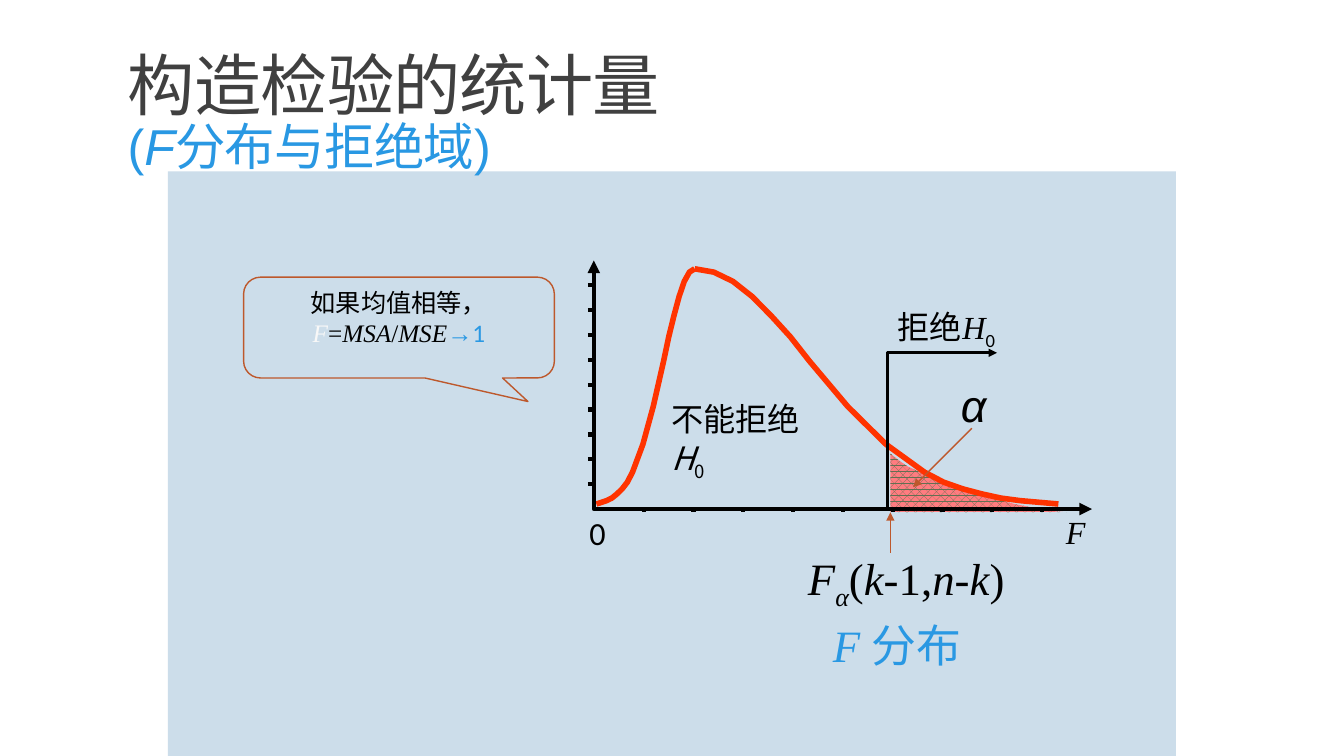
"""Draw the F distribution slide on a grid of 160 columns by 90 rows."""
from dataclasses import dataclass
from typing import NamedTuple

from lxml.etree import SubElement
from pptx import Presentation
from pptx.dml.color import RGBColor as RGB
from pptx.enum.dml import MSO_PATTERN as Pattern
from pptx.enum.shapes import MSO_CONNECTOR as Connector, MSO_SHAPE as Shape
from pptx.enum.text import MSO_ANCHOR as Anchor, MSO_AUTO_SIZE as AutoSize, PP_ALIGN as Align
from pptx.oxml.ns import qn
from pptx.util import Emu, Inches, Pt


@dataclass(frozen=True)
class Theme:
    ink: RGB = RGB.from_string("000000")
    heading: RGB = RGB.from_string("404040")
    accent: RGB = RGB.from_string("2998E3")
    pale: RGB = RGB.from_string("F8F8F8")
    panel: RGB = RGB.from_string("CCDDEA")
    pointer: RGB = RGB.from_string("BD582C")
    curve: RGB = RGB.from_string("FF3300")
    hatch: RGB = RGB.from_string("637052")
    tail: RGB = RGB.from_string("FF7C80")
    sans: str = "Arial"
    body: str = "Calibri"
    serif: str = "Times New Roman"
    cjk: str = "Noto Sans CJK SC"
    title: float = 48
    subtitle: float = 36
    large: float = 32
    label: float = 23
    note: float = 18


T = Theme()
UNIT = Inches(13.333) / 160


class Point(NamedTuple):
    col: float
    row: float


class Box(NamedTuple):
    col: float
    row: float
    cols: float
    rows: float


@dataclass(frozen=True)
class Run:
    text: str
    font: str = T.serif
    size: float = T.label
    color: RGB = T.ink
    italic: bool = False
    sub: bool = False


@dataclass(frozen=True)
class Label:
    box: Box
    runs: tuple[Run, ...]
    align: Align = Align.LEFT


def emu(units: float) -> Emu:
    return Emu(round(units * UNIT))


def place(box: Box) -> list[Emu]:
    return [emu(v) for v in box]


def write(p, runs: tuple[Run, ...], align: Align) -> None:
    p.alignment = align
    for run in runs:
        r = p.add_run()
        r.text = run.text
        r.font.name, r.font.size = run.font, Pt(run.size)
        r.font.italic, r.font.color.rgb = run.italic, run.color
        rPr = r._r.get_or_add_rPr()
        SubElement(rPr, qn("a:ea")).set("typeface", T.cjk)
        if run.sub:
            rPr.set("baseline", "-25000")


def stroke(sp, color: RGB, width: float, ends: tuple[str, ...] = ()) -> None:
    sp.line.color.rgb, sp.line.width = color, Pt(width)
    for end in ends:
        SubElement(sp.line._get_or_add_ln(), qn(f"a:{end}")).set("type", "triangle")


def add_line(slide, start: Point, stop: Point, color: RGB, width: float, ends: tuple[str, ...] = ()) -> None:
    sp = slide.shapes.add_connector(Connector.STRAIGHT, *(emu(v) for v in (*start, *stop)))
    stroke(sp, color, width, ends)
    SubElement(sp.element.spPr, qn("a:effectLst"))


def add_outline(slide, points: list[Point], close: bool = False):
    start, *rest = [(emu(x), emu(y)) for x, y in points]
    builder = slide.shapes.build_freeform(*start)
    builder.add_line_segments(rest, close=close)
    sp = builder.convert_to_shape()
    sp.shadow.inherit = False
    sp.fill.background()
    return sp


def add_label(slide, label: Label) -> None:
    tf = slide.shapes.add_textbox(*place(label.box)).text_frame
    tf.word_wrap = True
    write(tf.paragraphs[0], label.runs, label.align)


def add_title(slide) -> None:
    sp = slide.shapes.title
    sp.left, sp.top, sp.width, sp.height = place(Box(14, 2.4, 132, 19.1))
    tf = sp.text_frame
    tf.auto_size, tf.vertical_anchor = AutoSize.NONE, Anchor.BOTTOM
    p = tf.paragraphs[0]
    p.line_spacing = 0.85
    write(p, (Run("构造检验的统计量", T.sans, T.title, T.heading),), Align.LEFT)
    p.add_line_break()
    write(p, (Run("(", T.sans, T.subtitle, T.accent),
              Run("F", T.sans, T.subtitle, T.accent, True),
              Run("分布与拒绝域)", T.sans, T.subtitle, T.accent)), Align.LEFT)
    for r in p.runs:
        r._r.get_or_add_rPr().set("spc", "-50")


def add_panel(slide) -> None:
    sp = slide.shapes.add_shape(Shape.RECTANGLE, *place(Box(20, 20.4, 120, 69.6)))
    sp.shadow.inherit = False
    sp.fill.solid()
    sp.fill.fore_color.rgb = T.panel
    sp.line.fill.background()
    slide.shapes.title.element.addprevious(sp.element)


def add_callout(slide) -> None:
    sp = slide.shapes.add_shape(Shape.ROUNDED_RECTANGULAR_CALLOUT, *place(Box(29, 33, 37, 12)))
    sp.shadow.inherit = False
    sp.fill.background()
    stroke(sp, T.pointer, 1)
    for i, share in enumerate((0.415, 0.734, 0.167)):
        sp.adjustments[i] = share
    tf = sp.text_frame
    tf.word_wrap, tf.vertical_anchor = True, Anchor.TOP
    write(tf.paragraphs[0], (
        Run("如果均值相等，", size=T.note), Run("F", size=T.note, color=T.pale, italic=True),
        Run("=", size=T.note), Run("MSA", size=T.note, italic=True),
        Run("/", size=T.note), Run("MSE", size=T.note, italic=True),
        Run("→", size=T.note, color=T.accent), Run("1", T.body, T.note, T.accent)), Align.CENTER)


LABELS = (
    Label(Box(113.2, 44.4, 8, 7.7), (Run("α", T.sans, T.large, italic=True),)),
    Label(Box(93.3, 73, 27, 7.7), (Run("F ", size=T.large, color=T.accent, italic=True),
                                   Run("分布", T.body, T.large, T.accent)), Align.CENTER),
    Label(Box(95, 65, 32, 7.7), (
        Run("F", size=T.large, italic=True), Run("α", size=T.large, italic=True, sub=True),
        Run("(", size=T.large), Run("k", size=T.large, italic=True),
        Run("-1,", size=T.large), Run("n", size=T.large, italic=True),
        Run("-", size=T.large), Run("k", size=T.large, italic=True), Run(")", size=T.large))),
    Label(Box(69, 60.5, 4.6, 5.8), (Run("0", T.body),)),
    Label(Box(105.7, 36, 17, 5.8), (Run("拒绝", T.body), Run("H", italic=True), Run("0", T.body, sub=True))),
    Label(Box(78.7, 47, 21, 5.8), (Run("不能拒绝", T.cjk), Run("H", T.cjk, italic=True),
                                   Run("0", T.cjk, sub=True))),
    Label(Box(125.7, 60.4, 5, 5.8), (Run("F", italic=True),)),
)

ORIGIN, TOP, RIGHT = Point(70.7, 60.6), Point(70.7, 31), Point(130, 60.6)
PEAK, FOOT = Point(82.7, 32), 60
CURVE_STEPS = (0, 2, 3, 4, 5, 6, 7, 9, 11, 13, 14, 15, 16, 17, 18, 19)
CURVE_RISES = (0, .4, .7, 1.2, 1.8, 2.6, 3.8, 7.1, 11.6, 17, 19.9, 22.4, 24.7, 26.5, 27.6, 28)
TAIL_STEPS = (0, 1, 2, 3.3, 4.6, 6, 7.5, 9.1, 10.9, 12.8, 14.8, 16.8, 18.9, 21)
TAIL_RISES = (7, 6.2, 5.5, 4.9, 4.2, 3.6, 3, 2.5, 2, 1.5, 1, .6, .2, 0)


def add_plot(slide) -> None:
    tail = [Point(106 + x, 61 - y) for x, y in zip(TAIL_STEPS, TAIL_RISES)]
    sp = add_outline(slide, [Point(106, 61), *tail], close=True)
    sp.fill.patterned()
    sp.fill.pattern = Pattern.PERCENT_60
    sp.fill.fore_color.rgb, sp.fill.back_color.rgb = T.hatch, T.tail
    sp.line.fill.background()
    for foot in (71, 126):
        step = (PEAK.col - foot) / CURVE_STEPS[-1]
        half = [Point(foot + n * step, FOOT - y) for n, y in zip(CURVE_STEPS, CURVE_RISES)]
        stroke(add_outline(slide, half), T.curve, 4)
    stroke(add_outline(slide, [Point(105.7, 60.8), Point(105.7, 42), Point(118.7, 42)]), T.ink, 2, ("tailEnd",))
    stroke(add_outline(slide, [TOP, ORIGIN, RIGHT]), T.ink, 3, ("headEnd", "tailEnd"))
    for n in range(1, 10):
        x = ORIGIN.col + n * (RIGHT.col - ORIGIN.col) / 10
        y = TOP.row + n * (ORIGIN.row - TOP.row) / 10
        add_line(slide, Point(x, ORIGIN.row), Point(x, 61), T.ink, 3)
        add_line(slide, Point(70, y), Point(ORIGIN.col, y), T.ink, 3)
    add_line(slide, Point(106, 65.8), Point(106, 61), T.pointer, 1, ("tailEnd",))
    add_line(slide, Point(115.7, 51), Point(108.7, 58), T.pointer, 1, ("tailEnd",))


def main() -> None:
    prs = Presentation()
    prs.slide_width, prs.slide_height = emu(160), emu(90)
    slide = prs.slides.add_slide(prs.slide_layouts[5])
    add_title(slide)
    add_panel(slide)
    add_callout(slide)
    add_plot(slide)
    for label in LABELS:
        add_label(slide, label)
    prs.save("out.pptx")


if __name__ == "__main__":
    main()
